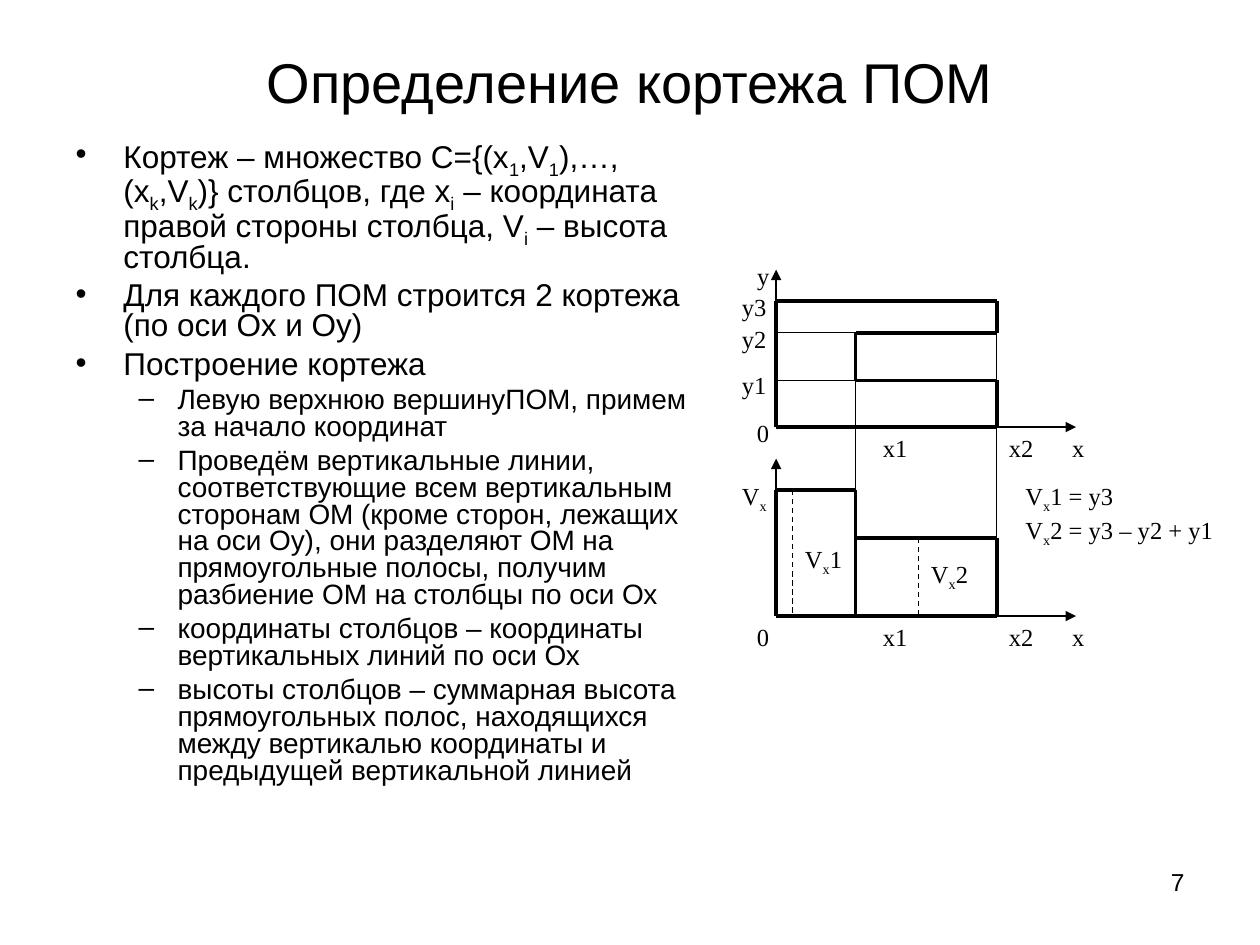
from dataclasses import dataclass
from typing import Any

from lxml.etree import SubElement
from pptx import Presentation
from pptx.dml.color import RGBColor
from pptx.enum.dml import MSO_LINE_DASH_STYLE as Dash
from pptx.enum.shapes import MSO_CONNECTOR_TYPE as ConnectorType
from pptx.enum.text import MSO_ANCHOR as Anchor
from pptx.enum.text import MSO_AUTO_SIZE as AutoSize
from pptx.enum.text import PP_ALIGN as Align
from pptx.oxml.ns import qn
from pptx.util import Inches, Pt

BLACK = "000000"
THIN, THICK = 0.75, 2.25
SERIF, SANS = "Times New Roman", "Arial"
ORIGIN, X1, X2, X_END = 6.16, 6.79, 7.91, 8.54
AXIS_HEIGHT = 1.25
TOP_BASE, Y1, Y2, Y3 = 3.39, 3.02, 2.64, 2.39
BOTTOM_BASE, V1, V2 = 4.89, 3.89, 4.27


@dataclass(frozen=True)
class Line:
    start: tuple[float, float]
    end: tuple[float, float]
    width: float = THICK
    arrow: bool = False
    dashed: bool = False


@dataclass(frozen=True)
class Label:
    text: str
    left: float
    top: float
    width: float = 0.5
    height: float = 0.37
    font: str = SERIF
    alignment: Align = Align.LEFT


@dataclass(frozen=True)
class Level:
    margin: float
    indent: float
    size: int
    space_before: float


LEVELS = [Level(0.38, -0.38, 18, 4.5), Level(0.81, -0.31, 16, 4)]

ITEMS = [
    (0, "Кортеж – множество C={(x_1_,V_1_),…, (x_k_,V_k_)} столбцов, где x_i_ – "
        "координата правой стороны столбца, V_i_ – высота столбца."),
    (0, "Для каждого ПОМ строится 2 кортежа (по оси Ох и Оу)"),
    (0, "Построение кортежа"),
    (1, "Левую верхнюю вершинуПОМ, примем за начало координат"),
    (1, "Проведём вертикальные линии, соответствующие всем вертикальным сторонам ОМ "
        "(кроме сторон, лежащих на оси Оу), они разделяют ОМ на прямоугольные полосы, "
        "получим разбиение ОМ на столбцы по оси Ох"),
    (1, "координаты столбцов – координаты вертикальных линий по оси Ох"),
    (1, "высоты столбцов – суммарная высота прямоугольных полос, находящихся между "
        "вертикалью координаты и предыдущей вертикальной линией"),
]

POLYGON = [
    (ORIGIN, TOP_BASE), (ORIGIN, Y3), (X2, Y3), (X2, Y2), (X1, Y2),
    (X1, Y1), (X2, Y1), (X2, TOP_BASE), (ORIGIN, TOP_BASE),
]
COLUMNS = [
    (ORIGIN, BOTTOM_BASE), (ORIGIN, V1), (X1, V1), (X1, BOTTOM_BASE),
    (ORIGIN, BOTTOM_BASE), (X2, BOTTOM_BASE), (X2, V2), (X1, V2),
]
GUIDES = [
    Line((X1, Y1), (X1, V2), THIN),
    Line((X2, Y2), (X2, BOTTOM_BASE), THIN),
    Line((X1, Y1), (ORIGIN, Y1), THIN),
    Line((X1, Y2), (ORIGIN, Y2), THIN),
    Line((6.29, V1), (6.29, BOTTOM_BASE), THIN, dashed=True),
    Line((7.29, V2), (7.29, BOTTOM_BASE), THIN, dashed=True),
]
LABELS = [
    Label("y", 5.91, 2.02, 0.25),
    Label("y3", 5.79, 2.27),
    Label("y2", 5.79, 2.52),
    Label("y1", 5.79, 2.89),
    Label("0", 5.91, 3.27),
    Label("0", 5.91, BOTTOM_BASE),
    Label("V_x_", 5.79, 3.77, 0.62, 0.5),
    Label("V_x_1", 6.29, 4.27, 0.75),
    Label("V_x_2", 7.29, 4.39, 0.87),
    Label("V_x_1 = y3\nV_x_2 = y3 – y2 + y1", 8.04, 3.77, 1.75, 0.75),
]


def color(value: str) -> RGBColor:
    return RGBColor.from_string(value)


def apply_format(target: Any, values: dict[str, Any]) -> None:
    for name, value in values.items():
        setattr(target, name, value)


def place(shape: Any, left: float, top: float, width: float, height: float) -> None:
    apply_format(shape, {
        "left": Inches(left), "top": Inches(top),
        "width": Inches(width), "height": Inches(height),
    })


def write(paragraph: Any, text: str, font: str, size: int) -> None:
    for index, piece in enumerate(text.split("_")):
        if not piece:
            continue
        run = paragraph.add_run()
        run.text = piece
        apply_format(run.font, {"name": font, "size": Pt(size)})
        run.font.color.rgb = color(BLACK)
        if index % 2:
            run.font._element.set("baseline", "-25000")


def draw_line(shapes: Any, line: Line) -> None:
    points = [Inches(value) for value in (*line.start, *line.end)]
    connector = shapes.add_connector(ConnectorType.STRAIGHT, *points)
    connector.line.color.rgb = color(BLACK)
    connector.line.width = Pt(line.width)
    if line.dashed:
        connector.line.dash_style = Dash.DASH
    properties = connector._element.spPr
    if line.arrow:
        SubElement(properties.find(qn("a:ln")), qn("a:tailEnd"), type="triangle")
    SubElement(properties, qn("a:effectLst"))


def draw_outline(shapes: Any, points: list[tuple[float, float]]) -> None:
    for start, end in zip(points, points[1:]):
        draw_line(shapes, Line(start, end))


def draw_label(shapes: Any, label: Label) -> None:
    box = shapes.add_textbox(0, 0, 0, 0)
    place(box, label.left, label.top, label.width, label.height)
    frame = box.text_frame
    frame.word_wrap = True
    for index, text in enumerate(label.text.split("\n")):
        paragraph = frame.add_paragraph() if index else frame.paragraphs[0]
        paragraph.alignment = label.alignment
        write(paragraph, text, label.font, 14)


def draw_axes(shapes: Any, base: float) -> None:
    for end in ((ORIGIN, base - AXIS_HEIGHT), (X_END, base)):
        draw_line(shapes, Line((ORIGIN, base), end, THIN, arrow=True))
    for text, left, width in (("x1", 6.91, 0.5), ("x2", 7.91, 0.5), ("x", 8.41, 0.25)):
        draw_label(shapes, Label(text, left, base, width))


def fill_title(title: Any) -> None:
    place(title, 0.5, 0.3, 9, 0.69)
    apply_format(title.text_frame, {
        "vertical_anchor": Anchor.MIDDLE, "auto_size": AutoSize.NONE,
    })
    paragraph = title.text_frame.paragraphs[0]
    paragraph.alignment = Align.CENTER
    write(paragraph, "Определение кортежа ПОМ", SANS, 32)


def fill_body(body: Any) -> None:
    place(body, 0.5, 1.07, 5.21, 5.63)
    frame = body.text_frame
    frame.auto_size = AutoSize.NONE
    for index, (depth, text) in enumerate(ITEMS):
        level = LEVELS[depth]
        paragraph = frame.add_paragraph() if index else frame.paragraphs[0]
        apply_format(paragraph, {
            "level": depth, "line_spacing": 0.8, "space_before": Pt(level.space_before),
        })
        properties = paragraph._p.get_or_add_pPr()
        properties.set("marL", str(Inches(level.margin)))
        properties.set("indent", str(Inches(level.indent)))
        write(paragraph, text, SANS, level.size)


def main() -> None:
    presentation = Presentation()
    apply_format(presentation, {"slide_width": Inches(10), "slide_height": Inches(7.5)})
    slide = presentation.slides.add_slide(presentation.slide_layouts[1])
    fill_title(slide.shapes.title)
    fill_body(slide.placeholders[1])
    diagram = slide.shapes.add_group_shape().shapes
    for base in (TOP_BASE, BOTTOM_BASE):
        draw_axes(diagram, base)
    for outline in (POLYGON, COLUMNS):
        draw_outline(diagram, outline)
    for guide in GUIDES:
        draw_line(diagram, guide)
    for label in LABELS:
        draw_label(diagram, label)
    draw_label(slide.shapes, Label("7", 7.17, 6.83, 2.33, 0.52, SANS, Align.RIGHT))
    presentation.save("out.pptx")


if __name__ == "__main__":
    main()
